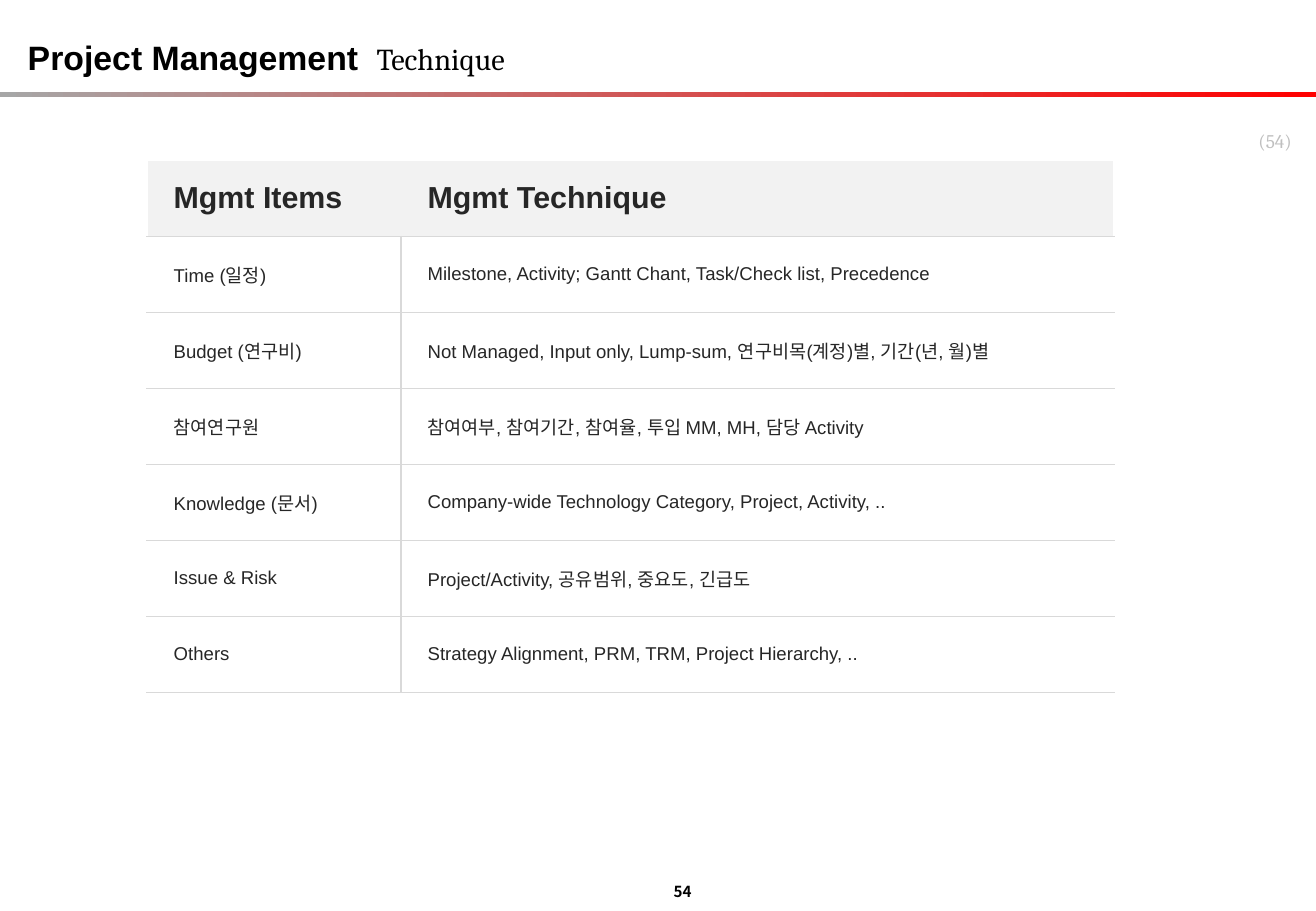
import pptx
import pptx.util
import pptx.dml.color
import pptx.enum.shapes
import pptx.enum.text
import pptx.oxml.ns
from lxml import etree

Inches, Pt = pptx.util.Inches, pptx.util.Pt
ALIGN = pptx.enum.text.PP_ALIGN
MIDDLE = pptx.enum.text.MSO_ANCHOR.MIDDLE
COLORS = {"white": "FFFFFF", "black": "000000", "text": "262626", "head": "F2F2F2",
          "rule": "D9D9D9", "pale": "BFBFBF", "gray": "A6A6A6", "red": "FF0000"}
ROWS = [
    ("Mgmt Items", "Mgmt Technique"),
    ("Time (일정)", "Milestone, Activity; Gantt Chant, Task/Check list, Precedence"),
    ("Budget (연구비)", "Not Managed, Input only, Lump-sum, 연구비목(계정)별, 기간(년, 월)별"),
    ("참여연구원", "참여여부, 참여기간, 참여율, 투입 MM, MH, 담당 Activity"),
    ("Knowledge (문서)", "Company-wide Technology Category, Project, Activity, .."),
    ("Issue & Risk", "Project/Activity, 공유범위, 중요도, 긴급도"),
    ("Others", "Strategy Alignment, PRM, TRM, Project Hierarchy, .."),
]


def rgb(name):
    return pptx.dml.color.RGBColor.from_string(COLORS[name])


def add(parent, tag, **attrs):
    return etree.SubElement(parent, pptx.oxml.ns.qn(tag), **attrs)


class Page:
    korean = "Noto Sans CJK KR"

    def __init__(self, slide):
        self.slide = slide

    def style(self, run, size, font="Arial", color="text", bold=False):
        run.font.name, run.font.size, run.font.bold = font, Pt(size), bold
        run.font.color.rgb = rgb(color)
        add(run.font._element, "a:ea", typeface=self.korean)

    def bar(self, x, y, w, h, start, end):
        kind = pptx.enum.shapes.MSO_SHAPE.RECTANGLE
        shape = self.slide.shapes.add_shape(kind, Inches(x), Inches(y), Inches(w), Inches(h))
        shape.shadow.inherit = False
        shape.line.fill.background()
        shape.fill.gradient()
        shape.fill.gradient_angle = 0
        for stop, name, place in zip(shape.fill.gradient_stops, (start, end), (0, 1)):
            stop.color.rgb = rgb(name)
            stop.position = place

    def text(self, x, y, w, h, runs, align=ALIGN.LEFT, anchor=None, tab=None, pad=(0.1, 0.05)):
        box = self.slide.shapes.add_textbox(Inches(x), Inches(y), Inches(w), Inches(h))
        frame = box.text_frame
        frame.word_wrap = True
        frame.vertical_anchor = anchor
        frame.margin_left = frame.margin_right = Inches(pad[0])
        frame.margin_top = frame.margin_bottom = Inches(pad[1])
        para = frame.paragraphs[0]
        para.alignment = align
        if tab:
            stops = add(para._p.get_or_add_pPr(), "a:tabLst")
            add(stops, "a:tab", pos=str(Inches(tab)), algn="l")
        for words, *look in runs:
            run = para.add_run()
            run.text = words
            self.style(run, *look)

    def edge(self, cell, side, color, width):
        line = add(cell._tc.get_or_add_tcPr(), "a:ln" + side, w=str(Pt(width)))
        if color:
            add(add(line, "a:solidFill"), "a:srgbClr", val=COLORS[color])
        else:
            add(line, "a:noFill")

    def table(self, x, y, widths, height, rows):
        frame = self.slide.shapes.add_table(
            len(rows), len(widths), Inches(x), Inches(y),
            Inches(sum(widths)), Inches(height * len(rows)))
        grid = frame.table
        grid.first_row = grid.horz_banding = False
        for col, width in zip(grid.columns, widths):
            col.width = Inches(width)
        for r, row in enumerate(rows):
            grid.rows[r].height = Inches(height)
            head = r == 0
            for c, words in enumerate(row):
                cell = grid.cell(r, c)
                # Outer edges are white, inner rules gray, none inside the header
                outer, rule = ("white", 1), ("rule", 0.75)
                inner = (None, 0.75) if head else rule
                self.edge(cell, "L", *(outer if c == 0 else inner))
                self.edge(cell, "R", *(outer if c == len(row) - 1 else inner))
                self.edge(cell, "T", *(outer if head else rule))
                self.edge(cell, "B", *rule)
                cell.fill.solid()
                cell.fill.fore_color.rgb = rgb("head" if head else "white")
                cell.vertical_anchor = MIDDLE
                cell.margin_left = cell.margin_right = Inches(0.22)
                cell.margin_top = cell.margin_bottom = Inches(0.12)
                cell.text_frame.text = words
                run = cell.text_frame.paragraphs[0].runs[0]
                self.style(run, 18 if head else 11, bold=head)


def main():
    deck = pptx.Presentation()
    deck.slide_width, deck.slide_height = Inches(10.83), Inches(7.5)
    page = Page(deck.slides.add_slide(deck.slide_layouts[6]))

    # Rule under the title and slide mark
    page.bar(0, 0.76, 10.83, 0.04, "gray", "red")
    page.text(8.27, 1, 2.44, 0.32, [("(54)", 11.4, "Cambria", "pale")],
              ALIGN.RIGHT, MIDDLE, pad=(0.08, 0.04))

    # Techniques by item
    page.table(1.21, 1.32, (2.09, 5.87), 4.38 / len(ROWS), ROWS)

    # Title and page number
    page.text(0.13, 0.25, 4.45, 0.44,
              [("Project Management\t", 20, "Arial", "black", True),
               ("Technique", 18, "Cambria", "black")], tab=2.87)
    page.text(5.42, 7.21, 0.37, 0.25, [("54", 9, page.korean, "black", True)],
              ALIGN.RIGHT, MIDDLE)

    deck.save("out.pptx")


if __name__ == "__main__":
    main()
